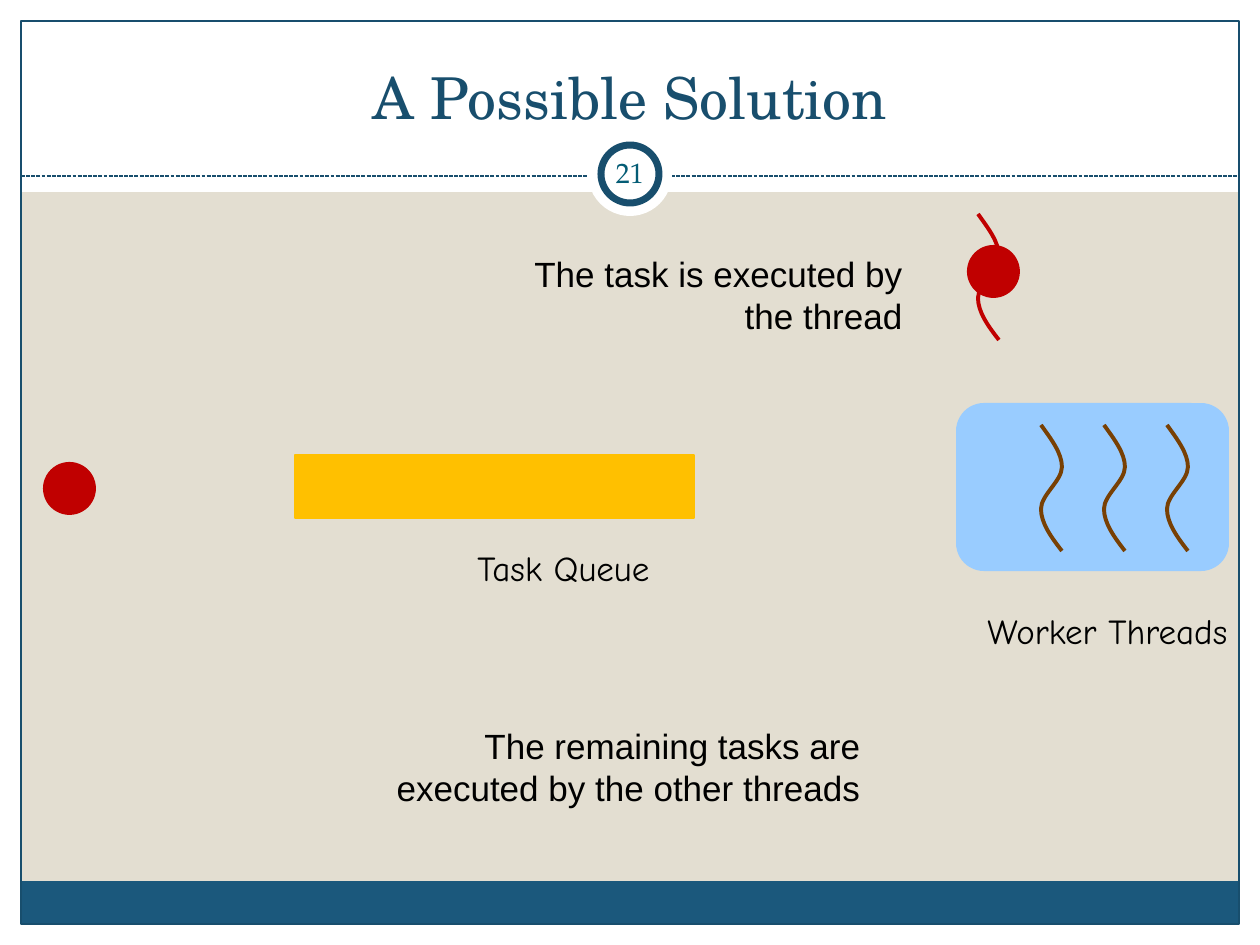
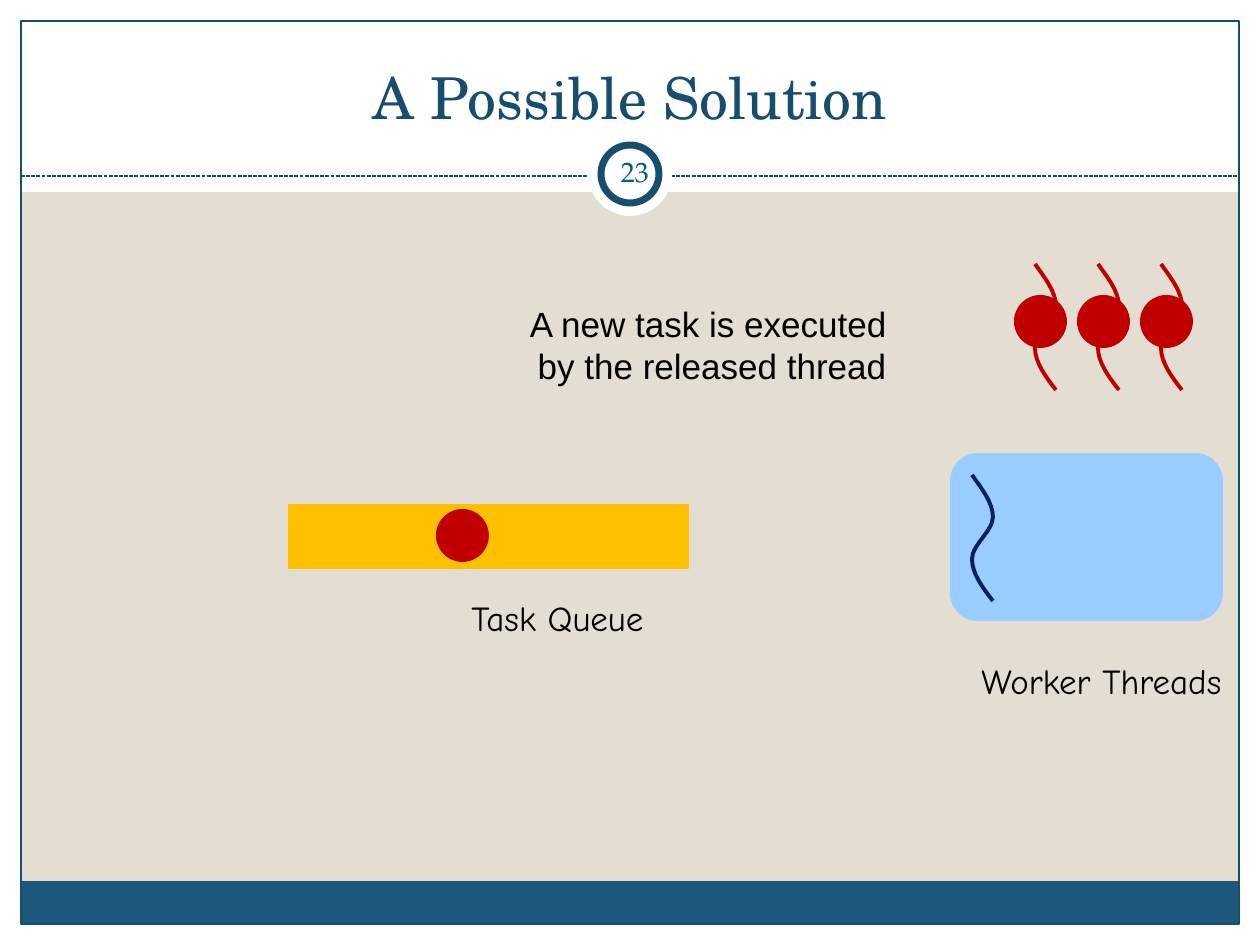
from lxml import etree
from pptx import Presentation
from pptx.dml.color import RGBColor
from pptx.enum.dml import MSO_LINE
from pptx.enum.shapes import MSO_CONNECTOR, MSO_SHAPE
from pptx.enum.text import MSO_ANCHOR, MSO_AUTO_SIZE, PP_ALIGN
from pptx.oxml.ns import qn
from pptx.util import Pt

WHITE = RGBColor(0xFF, 0xFF, 0xFF)
BLACK = RGBColor(0, 0, 0)
SAND = RGBColor(0xE3, 0xDE, 0xD1)
DEEP_BLUE = RGBColor(0x18, 0x4E, 0x6D)
BAND_BLUE = RGBColor(0x1B, 0x58, 0x7C)
NUMBER_TEAL = RGBColor(0x04, 0x5C, 0x75)
POOL_BLUE = RGBColor(0x99, 0xCC, 0xFF)
QUEUE_GOLD = RGBColor(0xFF, 0xC0, 0)
TASK_RED = RGBColor(0xC0, 0, 0)
IDLE_BROWN = RGBColor(0x78, 0x40, 0x04)
IDLE_NAVY = RGBColor(0, 0x20, 0x60)

RECTANGLE = MSO_SHAPE.RECTANGLE
OVAL = MSO_SHAPE.OVAL
POOL_SHAPE = MSO_SHAPE.FLOWCHART_ALTERNATE_PROCESS
STRAIGHT = MSO_CONNECTOR.STRAIGHT
SYSTEM_DASH = MSO_LINE.SQUARE_DOT
LEFT, CENTER, RIGHT = PP_ALIGN.LEFT, PP_ALIGN.CENTER, PP_ALIGN.RIGHT
MIDDLE, BOTTOM = MSO_ANCHOR.MIDDLE, MSO_ANCHOR.BOTTOM
NO_AUTOFIT, GROW = MSO_AUTO_SIZE.NONE, MSO_AUTO_SIZE.SHAPE_TO_FIT_TEXT

TITLE_FONT = "TeX Gyre Schola"
NUMBER_FONT = "TeX Gyre Pagella"
LABEL_FONT = "Comic Neue"
NOTE_FONT = "Arial"

SLIDES = [
    {
        "title": "A Possible Solution",
        "number": ("21", 610, 142),
        "pool": (956, 403),
        "idle_slots": (1, 2, 3),
        "idle_color": IDLE_BROWN,
        "running_slots": (0,),
        "task_shift": -11,
        "waiting_task": (43, 462),
        "notes": [
            ("The task is executed by the thread", 505, 246, 410),
            ("The remaining tasks are executed by the other threads", 379, 718, 494),
        ],
    },
    {
        "title": "A Possible Solution",
        "number": ("23", 615, 141),
        "pool": (950, 453),
        "idle_slots": (0,),
        "idle_color": IDLE_NAVY,
        "running_slots": (1, 2, 3),
        "task_shift": -21,
        "waiting_task": (436, 509),
        "notes": [("A new task is executed by the released thread", 489, 296, 410)],
    },
]

WIDTH, HEIGHT, MARGIN = 1260, 945, 21
WHITE_BANDS = [
    (0, HEIGHT - MARGIN, WIDTH, MARGIN),
    (0, 0, WIDTH, 192),
    (0, 0, MARGIN, HEIGHT),
    (WIDTH - MARGIN, 0, MARGIN, HEIGHT),
]
FRAME = (MARGIN, MARGIN, WIDTH - 2 * MARGIN, HEIGHT - 2 * MARGIN)
BADGE_CENTER = (WIDTH // 2, 174)
THREAD_CURVE = [(0, 0), (10, 14), (21, 28), (21, 42), (21, 56),
                (0, 70), (0, 84), (0, 98), (10, 112), (21, 126)]
SLOT_STEP = 63
SLOT_INSET = 22
RUNNING_RISE = 189
TASK_DROP = 31
TASK_SIZE = 53


def px(length):
    return round(length * 914400 / 126)


def box_of(box):
    return [px(length) for length in box]


def add_shape(slide, kind, box, fill=None, line=None, line_width=0.75):
    shape = slide.shapes.add_shape(kind, *box_of(box))
    shape.shadow.inherit = False
    style_shape(shape, fill, line, line_width)


def style_shape(shape, fill, line, line_width):
    if fill is None:
        shape.fill.background()
    else:
        shape.fill.solid()
        shape.fill.fore_color.rgb = fill
    if line is None:
        shape.line.fill.background()
    else:
        shape.line.color.rgb = line
        shape.line.width = Pt(line_width)


def write(shape, text, font, size, color, align):
    shape.text_frame.word_wrap = True
    paragraph = shape.text_frame.paragraphs[0]
    paragraph.text = text
    paragraph.alignment = align
    paragraph.font.name = font
    paragraph.font.size = Pt(size)
    paragraph.font.color.rgb = color


def add_note(slide, text, font, box):
    note = slide.shapes.add_textbox(*box_of(box))
    write(note, text, font, 20, BLACK, RIGHT)
    note.text_frame.auto_size = GROW


def add_thread(slide, left, top, color):
    points = [(px(left + x), px(top + y)) for x, y in THREAD_CURVE]
    builder = slide.shapes.build_freeform(*points[0])
    builder.add_line_segments(points[1:], close=False)
    thread = builder.convert_to_shape()
    thread.shadow.inherit = False
    style_shape(thread, None, color, 2.25)
    outline = next(thread.element.iter(qn("a:path")))
    segments = outline.findall(qn("a:lnTo"))
    for start in range(0, len(segments), 3):
        curve = etree.SubElement(outline, qn("a:cubicBezTo"))
        for segment in segments[start:start + 3]:
            curve.append(segment[0])
            outline.remove(segment)


def add_task(slide, left, top):
    add_shape(slide, OVAL, (left, top, TASK_SIZE, TASK_SIZE), TASK_RED)


def add_disc(slide, size, line=None):
    x, y = BADGE_CENTER
    add_shape(slide, OVAL, (x - size / 2, y - size / 2, size, size), WHITE, line, 4)


def add_frame(slide):
    for band in WHITE_BANDS:
        add_shape(slide, RECTANGLE, band, WHITE)
    add_shape(slide, RECTANGLE, (MARGIN, 881, WIDTH - 2 * MARGIN, 43), BAND_BLUE)
    add_shape(slide, RECTANGLE, FRAME, line=DEEP_BLUE)
    rule = slide.shapes.add_connector(
        STRAIGHT, *box_of((MARGIN, 176, WIDTH - MARGIN, 176)))
    rule.line.color.rgb = DEEP_BLUE
    rule.line.width = Pt(0.75)
    rule.line.dash_style = SYSTEM_DASH
    etree.SubElement(rule.element.spPr, qn("a:effectLst"))
    add_disc(slide, 84)
    add_disc(slide, 58, DEEP_BLUE)


def add_title(slide, text):
    title = slide.shapes.title
    title.left, title.top, title.width, title.height = box_of((42, 32, 1176, 105))
    write(title, text, TITLE_FONT, 33, DEEP_BLUE, CENTER)
    title.text_frame.vertical_anchor = BOTTOM
    title.text_frame.auto_size = NO_AUTOFIT
    tree = title.element.getparent()
    tree.remove(title.element)
    tree.append(title.element)


def add_number(slide, text, left, top):
    number = slide.shapes.add_textbox(*box_of((left, top, 63, 61)))
    write(number, text, NUMBER_FONT, 16, NUMBER_TEAL, LEFT)
    frame = number.text_frame
    frame.vertical_anchor = MIDDLE
    frame.margin_left = frame.margin_right = px(6)
    frame.margin_top = frame.margin_bottom = px(6)


def add_diagram(slide, content):
    left, top = content["pool"]
    add_shape(slide, POOL_SHAPE, (left, top, 273, 168), POOL_BLUE)
    add_shape(slide, RECTANGLE, (left - 661, top + 52, 399, 63), QUEUE_GOLD, QUEUE_GOLD)
    add_note(slide, "Task Queue", LABEL_FONT, (left - 630, top + 137, 336, 54))
    add_note(slide, "Worker Threads", LABEL_FONT, (left - 41, top + 200, 325, 54))
    for slot in content["idle_slots"]:
        add_thread(slide, left + SLOT_INSET + slot * SLOT_STEP,
                   top + SLOT_INSET, content["idle_color"])
    running = [left + SLOT_INSET + slot * SLOT_STEP for slot in content["running_slots"]]
    for x in running:
        add_thread(slide, x, top - RUNNING_RISE, TASK_RED)
    for x in running:
        add_task(slide, x + content["task_shift"], top - RUNNING_RISE + TASK_DROP)
    add_task(slide, *content["waiting_task"])
    for text, x, y, width in content["notes"]:
        add_note(slide, text, NOTE_FONT, (x, y, width, 97))


presentation = Presentation()
presentation.slide_width, presentation.slide_height = px(WIDTH), px(HEIGHT)
background = presentation.slide_master.background.fill
background.solid()
background.fore_color.rgb = SAND

for content in SLIDES:
    slide = presentation.slides.add_slide(presentation.slide_layouts[5])
    add_frame(slide)
    add_title(slide, content["title"])
    add_number(slide, *content["number"])
    add_diagram(slide, content)

presentation.save("out.pptx")
